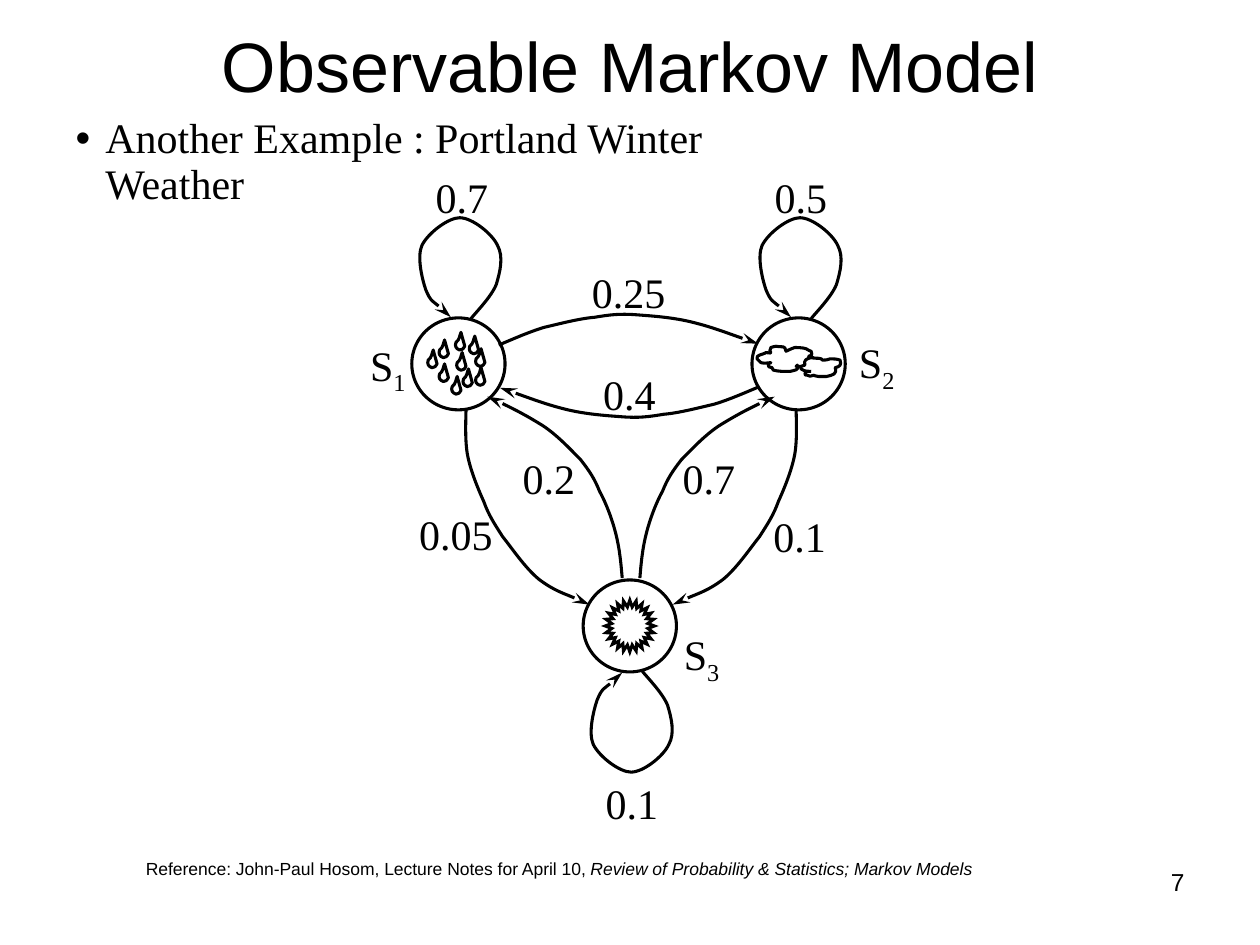
import dataclasses

import lxml.etree
import pptx
import pptx.dml.color
import pptx.enum.shapes
import pptx.enum.text
import pptx.oxml.ns
import pptx.util

Cm = pptx.util.Cm
qn = pptx.oxml.ns.qn


@dataclasses.dataclass(frozen=True)
class Theme:
    """Colours, fonts and sizes of the slide."""
    ink: pptx.dml.color.RGBColor = pptx.dml.color.RGBColor(0, 0, 0)
    paper: pptx.dml.color.RGBColor = pptx.dml.color.RGBColor(255, 255, 255)
    sans: str = "Arial"
    serif: str = "Times New Roman"
    title: int = 40
    body: int = 24
    number: int = 14
    reference: int = 10
    stroke: float = 1.75


THEME = Theme()
GRID = Cm(2.54) / 100
CIRCLE = 74
STATES = {"1": (80, 153), "2": (350, 153), "3": (216, 361)}
STATE_LABELS = {"1": (0, 129), "2": (388, 127), "3": (249, 359)}
PROBABILITIES = [
    ("0.7", 52, 0), ("0.5", 321, 0), ("0.1", 187, 481),
    ("0.25", 176, 75), ("0.4", 185, 156), ("0.2", 121, 223),
    ("0.7", 248, 223), ("0.05", 39, 267), ("0.1", 320, 269),
]
LOOP = [
    (10, -36), (13, -40), (26, -53), (30, -63), (33, -73), (36, -85), (31, -94),
    (27, -103), (11, -116), (1, -116), (-8, -116), (-24, -104), (-29, -94),
    (-33, -85), (-29, -68), (-26, -59), (-22, -49), (-10, -42), (-6, -37),
]
RAIN_TO_CLOUD = [
    (112, 138), (124, 133), (135, 128), (148, 124), (161, 121), (176, 117),
    (188, 116), (200, 114), (208, 113), (221, 114), (234, 115), (250, 116),
    (266, 120), (282, 124), (300, 131), (318, 137),
]
CLOUD_TO_SUN = [
    (348, 189), (348, 195), (349, 212), (347, 224), (345, 236), (339, 251),
    (334, 262), (330, 273), (326, 279), (319, 290), (311, 300), (301, 315),
    (290, 324), (278, 333), (258, 340), (250, 344),
]
SUN_TO_CLOUD = [
    (224, 323), (225, 311), (226, 300), (229, 288), (232, 276), (237, 263),
    (242, 254), (246, 244), (250, 238), (257, 229), (265, 221), (275, 210),
    (287, 202), (300, 194), (315, 186), (331, 179),
]
DROP = [
    (5, 0), (4, 2), (4, 6), (1, 8), (0, 11), (1, 13), (4, 14),
    (8, 13), (6, 13), (8, 11), (7, 7), (6, 4), (5, 0),
]
DROP_PLACES = [
    (-16, -19), (-2, -9), (-3, -25), (-16, 0), (13, -12),
    (3, 4), (8, -22), (-6, 10), (13, 3), (-25, -11),
]
LEFT_CLOUD = [
    (-22, -1), (-25, -1), (-26, 0), (-30, -1), (-31, -2), (-33, -4), (-33, -4),
    (-33, -5), (-33, -7), (-31, -7), (-30, -8), (-29, -8), (-28, -8),
    (-27, -8), (-26, -9), (-26, -9), (-18, -8), (-25, -9), (-22, -13),
    (-22, -13), (-19, -14), (-18, -14), (-12, -13), (-11, -15), (-10, -10),
    (-8, -11), (-6, -12), (-3, -13), (-3, -13), (4, -13), (6, -12),
    (7, -11), (10, -10), (10, -10), (11, -8), (11, -7), (8, -6),
    (12, -5), (12, -5), (13, -3), (12, 2), (8, 2), (4, 3),
    (2, 2), (1, 2), (0, 2), (-1, 2), (-2, 2), (-2, 2),
    (-2, 1), (-1, 1), (-1, 1), (1, 5), (-3, 5), (-7, 6),
    (-12, 6), (-16, 6), (-20, 5), (-21, 4), (-21, 3), (-21, 3),
    (-23, 2), (-25, 3), (-24, 1), (-24, 0), (-23, -1), (-22, -1),
]
RIGHT_CLOUD = [
    (10, 6), (7, 6), (5, 6), (2, 4), (1, 1), (3, 2), (5, 1),
    (4, -3), (6, -4), (10, -5), (13, -4), (16, -5), (18, -4),
    (19, -4), (19, -3), (19, -3), (21, -3), (23, -3), (25, -4),
    (28, -4), (30, -4), (33, -3), (34, 1), (33, 2), (29, 3),
    (31, 8), (27, 9), (22, 10), (20, 10), (18, 10), (16, 10),
    (14, 10), (12, 9), (12, 9), (8, 10), (10, 10), (7, 9),
    (6, 9), (5, 9), (5, 8), (5, 8), (6, 6), (6, 6),
]


def write_text(paragraph, text, size, font=THEME.sans, italic=False, baseline=0):
    """Append a formatted run to a paragraph."""
    run = paragraph.add_run()
    run.text = text
    run.font.size = pptx.util.Pt(size)
    run.font.name = font
    run.font.italic = italic
    run.font.color.rgb = THEME.ink
    if baseline:
        run._r.get_or_add_rPr().set("baseline", str(baseline * 1000))


def add_text_box(slide, box, wrap=True):
    """Add an empty text box and return its first paragraph."""
    frame = slide.shapes.add_textbox(*map(round, box)).text_frame
    frame.word_wrap = wrap
    if not wrap:
        frame.auto_size = pptx.enum.text.MSO_AUTO_SIZE.SHAPE_TO_FIT_TEXT
    return frame.paragraphs[0]


def move(shape, box):
    """Set the place and size of a placeholder."""
    shape.left, shape.top, shape.width, shape.height = box


def draw_outline(shape, fill=None):
    """Give a shape the ink line and an optional fill."""
    shape.shadow.inherit = False
    if fill is None:
        shape.fill.background()
    else:
        shape.fill.solid()
        shape.fill.fore_color.rgb = fill
    shape.line.color.rgb = THEME.ink
    shape.line.width = pptx.util.Pt(THEME.stroke)


def add_line_detail(shape, name, **attributes):
    """Append a join or arrowhead element to a shape's line."""
    line = shape.line._get_or_add_ln()
    lxml.etree.SubElement(line, qn(name), attributes)


def add_curve(slide, origin, points, arrow=False, fill=None):
    """Draw a chain of Bezier segments, three points after the start for each."""
    builder = slide.shapes.build_freeform(*points[0], scale=GRID)
    builder.add_line_segments(points[1:], close=False)
    shape = builder.convert_to_shape(*origin)
    outline = next(shape._element.iter(qn("a:path")))
    lines = outline.findall(qn("a:lnTo"))
    for start in range(0, len(lines), 3):
        segment = lxml.etree.SubElement(outline, qn("a:cubicBezTo"))
        for line in lines[start:start + 3]:
            segment.append(line[0])
            outline.remove(line)
    draw_outline(shape, fill)
    if arrow:
        add_line_detail(shape, "a:tailEnd", type="stealth", w="med", len="lg")


def add_centred(slide, kind, centre, width, height):
    """Add an outlined preset shape around a centre."""
    width, height = round(width * GRID), round(height * GRID)
    left, top = centre[0] - width // 2, centre[1] - height // 2
    shape = slide.shapes.add_shape(kind, left, top, width, height)
    draw_outline(shape)
    return shape


def add_title(slide, box):
    """Fill the title placeholder."""
    move(slide.shapes.title, box)
    frame = slide.shapes.title.text_frame
    frame.vertical_anchor = pptx.enum.text.MSO_ANCHOR.MIDDLE
    frame.paragraphs[0].alignment = pptx.enum.text.PP_ALIGN.CENTER
    write_text(frame.paragraphs[0], "Observable Markov Model", THEME.title)


def add_list(slide, box):
    """Fill the body placeholder with the bulleted example."""
    body = slide.placeholders[1]
    move(body, box)
    body.text_frame.auto_size = pptx.enum.text.MSO_AUTO_SIZE.NONE
    paragraph = body.text_frame.paragraphs[0]
    paragraph.line_spacing = 0.9
    paragraph.space_before = pptx.util.Pt(0)
    properties = paragraph._p.get_or_add_pPr()
    properties.set("marL", str(Cm(0.6)))
    properties.set("indent", str(-Cm(0.6)))
    lxml.etree.SubElement(properties, qn("a:buChar")).set("char", "•")
    write_text(paragraph, "Another Example : Portland Winter Weather",
               THEME.body, font=THEME.serif)


def add_diagram(slide, left, top):
    """Draw the weather states, their transitions and labels."""
    def at(x, y):
        return round(left + x * GRID), round(top + y * GRID)

    def add_label(x, y, width, text, subscript=""):
        paragraph = add_text_box(
            slide, (*at(x, y), width * GRID, 46 * GRID), wrap=False)
        paragraph.line_spacing = 0.9
        write_text(paragraph, text, THEME.body, font=THEME.serif)
        if subscript:
            write_text(paragraph, subscript, THEME.body, font=THEME.serif, baseline=-25)

    shapes = pptx.enum.shapes.MSO_SHAPE
    for name, centre in STATES.items():
        add_centred(slide, shapes.OVAL, at(*centre), CIRCLE, CIRCLE - 1)
        side = -1 if name == "3" else 1
        add_curve(slide, at(*centre), [(x, side * y) for x, y in LOOP], arrow=True)
        add_label(*STATE_LABELS[name], 48, "S", name)

    backward = [(431 - x, 309 - y) for x, y in RAIN_TO_CLOUD]
    for points in (RAIN_TO_CLOUD, backward):
        add_curve(slide, at(0, 0), points, arrow=True)
    for points in (CLOUD_TO_SUN, SUN_TO_CLOUD):
        add_curve(slide, at(0, 0), points, arrow=True)
        add_curve(slide, at(0, 0), [(434 - x, y) for x, y in points], arrow=True)

    rain_x, rain_y = STATES["1"]
    for x, y in DROP_PLACES:
        add_curve(slide, at(rain_x + x, rain_y + y), DROP)
    add_curve(slide, at(*STATES["2"]), LEFT_CLOUD)
    add_curve(slide, at(*STATES["2"]), RIGHT_CLOUD, fill=THEME.paper)
    sun = add_centred(slide, shapes.STAR_24_POINT, at(*STATES["3"]), 39, 41)
    sun.adjustments[0] = 0.37
    add_line_detail(sun, "a:miter", lim="800000")

    for text, x, y in PROBABILITIES:
        add_label(x, y, 11 + 17 * len(text), text)


def add_footer(slide, reference_box, number_box):
    """Add the reference and the page number."""
    reference = add_text_box(slide, reference_box)
    write_text(reference, "Reference: John-Paul Hosom, Lecture Notes for April 10, ",
               THEME.reference)
    write_text(reference, "Review of Probability & Statistics; Markov Models",
               THEME.reference, italic=True)
    number = add_text_box(slide, number_box)
    number.alignment = pptx.enum.text.PP_ALIGN.RIGHT
    write_text(number, "7", THEME.number)


def main():
    """Build and save the presentation."""
    presentation = pptx.Presentation()
    presentation.slide_width, presentation.slide_height = Cm(25.4), Cm(19.05)
    slide = presentation.slides.add_slide(presentation.slide_layouts[1])
    add_title(slide, (Cm(1.27), Cm(0.33), Cm(22.86), Cm(1.96)))
    add_list(slide, (Cm(1.27), Cm(2.24), Cm(15.9), Cm(1.17)))
    add_diagram(slide, Cm(7.21), Cm(3.45))
    add_footer(slide, (Cm(2.69), Cm(17.17), Cm(20.8), Cm(0.69)),
               (Cm(18.21), Cm(17.35), Cm(5.92), Cm(1.32)))
    presentation.save("out.pptx")


if __name__ == "__main__":
    main()
